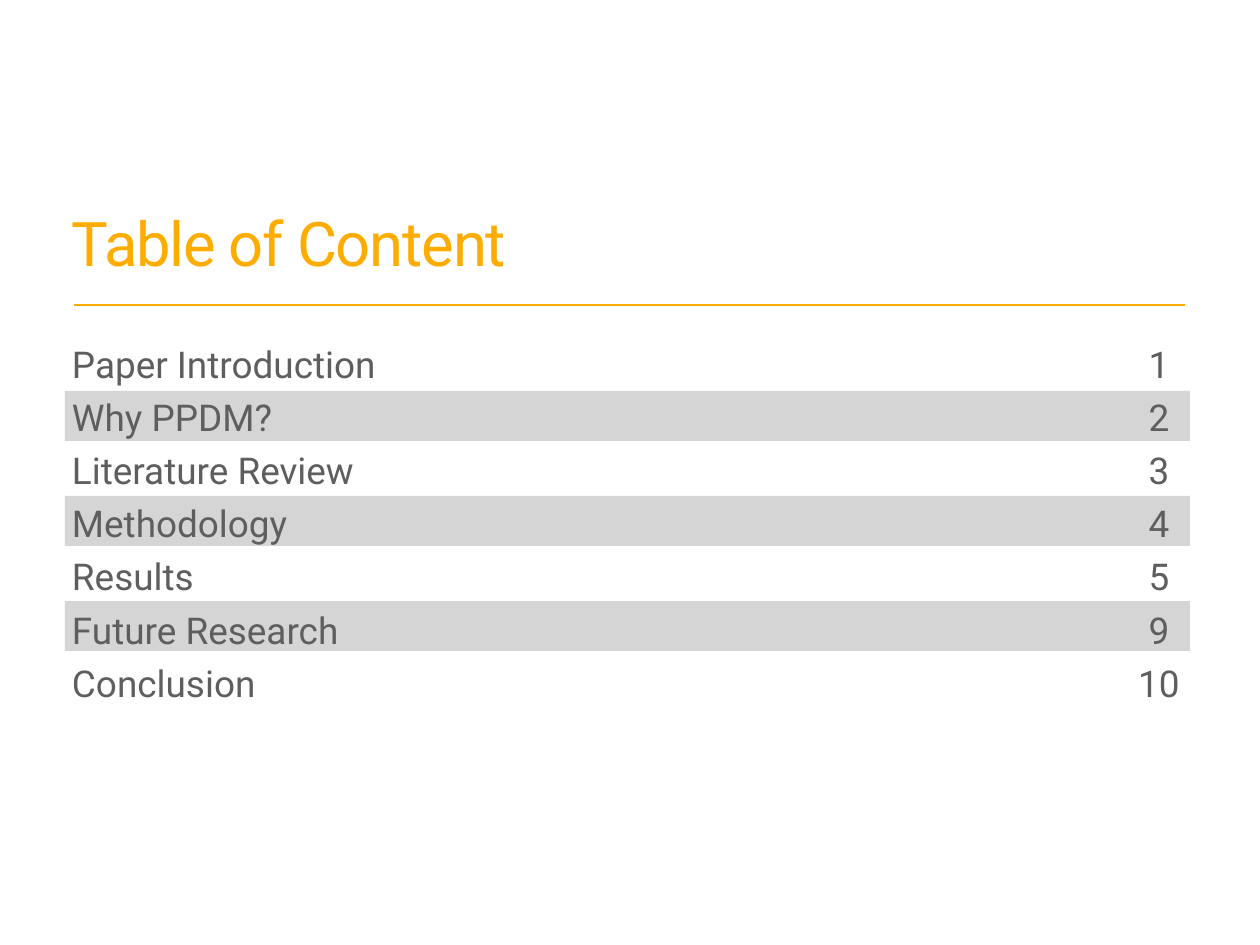
from pptx import Presentation
from pptx.dml.color import RGBColor
from pptx.enum.shapes import MSO_CONNECTOR, MSO_SHAPE
from pptx.enum.text import MSO_ANCHOR, MSO_AUTO_SIZE, PP_ALIGN
from pptx.oxml.ns import qn
from pptx.util import Pt
from lxml import etree

TITLE = "Table of Content"
CONTENTS = [
    ("Paper Introduction", "1"),
    ("Why PPDM?", "2"),
    ("Literature Review", "3"),
    ("Methodology", "4"),
    ("Results", "5"),
    ("Future Research", "9"),
    ("Conclusion", "10"),
]

PX = 914400 / 88.6
SLIDE_SIZE = (1260, 945)
TITLE_BOX = (67, 178, 1125, 141)
TOPICS_BOX = (67, 325, 1124, 387)
PAGES_BOX = (1127, 325, 64, 387)
RULE = (74, 305, 1185, 305)
BAND_LEFT, BAND_TOP, BAND_WIDTH, BAND_HEIGHT = 65, 391, 1125, 50
BAND_STEP = 105
INSET = 5

ORANGE, GREY, BAND_GREY = "FEAD00", "5E5E5E", "D5D5D5"
TITLE_FORMAT = {"size": Pt(50), "name": "Roboto"}
LIST_FORMAT = {"size": Pt(30), "name": "Roboto"}


def emu(*lengths):
    return [round(length * PX) for length in lengths]


def color(hex_string):
    return RGBColor.from_string(hex_string)


def fill_placeholder(shape, box, lines, font_format, font_color, spacing, align):
    shape.left, shape.top, shape.width, shape.height = emu(*box)
    frame = shape.text_frame
    frame.text = "\n".join(lines)
    inset, = emu(INSET)
    frame_format = {
        "word_wrap": True,
        "auto_size": MSO_AUTO_SIZE.NONE,
        "vertical_anchor": MSO_ANCHOR.MIDDLE,
        "margin_left": inset, "margin_right": inset,
        "margin_top": inset, "margin_bottom": inset,
    }
    for name, value in frame_format.items():
        setattr(frame, name, value)
    for paragraph in frame.paragraphs:
        paragraph.alignment = align
        paragraph.line_spacing = spacing
        paragraph.space_before = paragraph.space_after = Pt(0)
        properties = paragraph._p.get_or_add_pPr()
        properties.set("marL", "0")
        properties.set("indent", "0")
        etree.SubElement(properties, qn("a:buNone"))
        for run in paragraph.runs:
            for name, value in font_format.items():
                setattr(run.font, name, value)
            run.font.color.rgb = color(font_color)


def add_band(slide, top):
    """Add a grey row band behind the text."""
    band = slide.shapes.add_shape(
        MSO_SHAPE.RECTANGLE, *emu(BAND_LEFT, top, BAND_WIDTH, BAND_HEIGHT))
    band.shadow.inherit = False
    band.fill.solid()
    band.fill.fore_color.rgb = color(BAND_GREY)
    band.line.fill.background()
    slide.shapes._spTree.insert(2, band._element)


def add_rule(slide):
    rule = slide.shapes.add_connector(MSO_CONNECTOR.STRAIGHT, *emu(*RULE))
    rule.line.color.rgb = color(ORANGE)
    rule.line.width = Pt(2)
    etree.SubElement(rule._element.spPr, qn("a:effectLst"))


def main():
    presentation = Presentation()
    presentation.slide_width, presentation.slide_height = emu(*SLIDE_SIZE)
    two_content = presentation.slide_layouts[3]
    slide = presentation.slides.add_slide(two_content)
    title, topics, pages = slide.placeholders

    fill_placeholder(title, TITLE_BOX, [TITLE], TITLE_FORMAT, ORANGE, 0.8, PP_ALIGN.LEFT)
    title.text_frame.paragraphs[0].runs[0].font._element.set("spc", "-100")

    topic_lines, page_lines = zip(*CONTENTS)
    fill_placeholder(topics, TOPICS_BOX, topic_lines, LIST_FORMAT, GREY, 1.2, PP_ALIGN.LEFT)
    fill_placeholder(pages, PAGES_BOX, page_lines, LIST_FORMAT, GREY, 1.2, PP_ALIGN.CENTER)

    for index in range(len(CONTENTS) // 2):
        add_band(slide, BAND_TOP + index * BAND_STEP)
    add_rule(slide)
    presentation.save("out.pptx")


if __name__ == "__main__":
    main()
